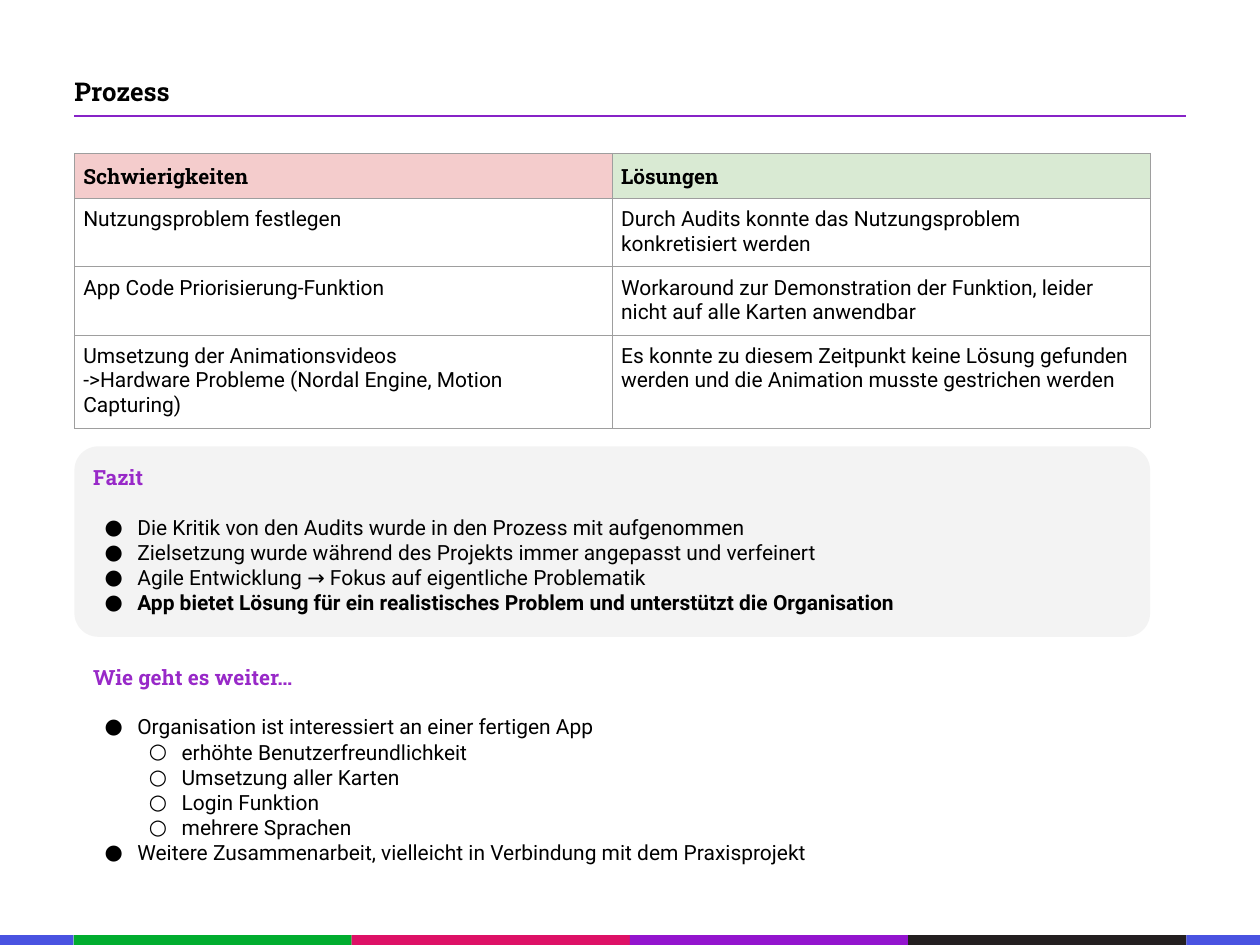
from lxml import etree
from pptx import Presentation
from pptx.dml.color import RGBColor
from pptx.enum.shapes import MSO_CONNECTOR, MSO_SHAPE
from pptx.enum.text import MSO_ANCHOR, MSO_AUTO_SIZE, PP_ALIGN
from pptx.oxml.ns import qn
from pptx.util import Inches, Pt

RECT, ROUNDED = MSO_SHAPE.RECTANGLE, MSO_SHAPE.ROUNDED_RECTANGLE
STRAIGHT = MSO_CONNECTOR.STRAIGHT
TOP, MIDDLE = MSO_ANCHOR.TOP, MSO_ANCHOR.MIDDLE
LEFT = PP_ALIGN.LEFT
NO_AUTOFIT = MSO_AUTO_SIZE.NONE


def rgb(value):
    return RGBColor.from_string(value)


class SlideBuilder:
    BLACK, PURPLE, BORDER = "000000", "9829C8", "9E9E9E"
    TITLE = {"name": "Roboto Slab", "size": Pt(21), "bold": True}
    HEADING = {"name": "Roboto Slab", "size": Pt(17), "bold": True}
    TEXT = {"name": "Roboto", "size": Pt(17), "bold": False}
    STRONG = {**TEXT, "bold": True}
    BULLETS = "●○"

    def __init__(self, slide):
        self.s = slide

    def place(self, sp, x, y, w, h):
        sp.left, sp.top, sp.width, sp.height = map(Inches, (x, y, w, h))

    def frame(self, tf, margin, anchor):
        settings = {"word_wrap": True, "auto_size": NO_AUTOFIT, "vertical_anchor": anchor}
        for side in ("left", "top", "right", "bottom"):
            settings["margin_" + side] = Inches(margin)
        for name, value in settings.items():
            setattr(tf, name, value)

    def text(self, p, text, style, color=BLACK):
        p.alignment = LEFT
        r = p.add_run()
        r.text = text
        for name, value in style.items():
            setattr(r.font, name, value)
        r.font.color.rgb = rgb(color)

    def bullet(self, p, level):
        """Give a paragraph its bullet, or none when level is None."""
        pPr = p._p.get_or_add_pPr()
        if level is None:
            pPr.set("marL", "0")
            pPr.set("indent", "0")
            etree.SubElement(pPr, qn("a:buNone"))
            return
        p.level = level
        pPr.set("marL", str(Inches(0.5 * (level + 1))))
        pPr.set("indent", str(Inches(-0.37)))
        clr = etree.SubElement(pPr, qn("a:buClr"))
        etree.SubElement(clr, qn("a:srgbClr"), val=self.BLACK)
        etree.SubElement(pPr, qn("a:buFont"), typeface="Roboto")
        etree.SubElement(pPr, qn("a:buChar"), char=self.BULLETS[level])

    def title(self, text, *box):
        sp = self.s.shapes.title
        self.place(sp, *box)
        self.frame(sp.text_frame, 0, MIDDLE)
        self.text(sp.text_frame.paragraphs[0], text, self.TITLE)

    def body(self, lines, *box):
        """Add (text, level, style, space before) lines; level None is a heading."""
        sp = self.s.placeholders[1]
        self.place(sp, *box)
        tf = sp.text_frame
        self.frame(tf, 0.1, TOP)
        for i, (text, level, style, space) in enumerate(lines):
            p = tf.paragraphs[0] if i == 0 else tf.add_paragraph()
            self.bullet(p, level)
            p.space_before = Pt(space)
            self.text(p, text, style, self.PURPLE if level is None else self.BLACK)

    def shape(self, kind, color, *box):
        sp = self.s.shapes.add_shape(kind, *map(Inches, box))
        sp.shadow.inherit = False
        sp.fill.solid()
        sp.fill.fore_color.rgb = rgb(color)
        sp.line.fill.background()
        return sp

    def rule(self, x1, x2, y, color, width):
        line = self.s.shapes.add_connector(STRAIGHT, *map(Inches, (x1, y, x2, y)))
        line.line.color.rgb = rgb(color)
        line.line.width = Pt(width)
        etree.SubElement(line._element.spPr, qn("a:effectLst"))

    def borders(self, cell):
        tcPr = cell._tc.get_or_add_tcPr()
        for i, side in enumerate(("lnL", "lnR", "lnT", "lnB")):
            ln = etree.Element(qn("a:" + side), w=str(Pt(0.75)))
            fill = etree.SubElement(ln, qn("a:solidFill"))
            etree.SubElement(fill, qn("a:srgbClr"), val=self.BORDER)
            tcPr.insert(i, ln)

    def table(self, rows, heights, header_fills, x, y, col_width):
        n = len(header_fills)
        box = map(Inches, (x, y, col_width * n, sum(heights)))
        table = self.s.shapes.add_table(len(rows), n, *box).table
        table.horz_banding = False
        for i, (row, height) in enumerate(zip(rows, heights)):
            table.rows[i].height = Inches(height)
            for j, text in enumerate(row):
                cell = table.cell(i, j)
                for side in ("left", "top", "right", "bottom"):
                    setattr(cell, "margin_" + side, Inches(0.1))
                if i == 0:
                    cell.fill.solid()
                    cell.fill.fore_color.rgb = rgb(header_fills[j])
                else:
                    cell.fill.background()
                self.borders(cell)
                tf = cell.text_frame
                for k, line in enumerate(text.split("\n")):
                    p = tf.paragraphs[0] if k == 0 else tf.add_paragraph()
                    self.text(p, line, self.TEXT if i else self.HEADING)


def main():
    prs = Presentation()
    prs.slide_width, prs.slide_height = Inches(14.22), Inches(10.67)
    b = SlideBuilder(prs.slides.add_slide(prs.slide_layouts[1]))

    # Title and rule
    b.title("Prozess", 0.84, 0.85, 12.55, 0.35)
    b.rule(0.84, 13.39, 1.31, "8723C7", 2)

    # Difficulties and solutions
    rows = [
        ("Schwierigkeiten", "Lösungen"),
        ("Nutzungsproblem festlegen",
         "Durch Audits konnte das Nutzungsproblem konkretisiert werden"),
        ("App Code Priorisierung-Funktion",
         "Workaround zur Demonstration der Funktion, leider nicht auf alle Karten anwendbar"),
        ("Umsetzung der Animationsvideos\n"
         "->Hardware Probleme (Nordal Engine, Motion Capturing)",
         "Es konnte zu diesem Zeitpunkt keine Lösung gefunden werden "
         "und die Animation musste gestrichen werden"),
    ]
    b.table(rows, (0.47, 0.77, 0.77, 1.05), ("F4CCCC", "D9EAD3"), 0.84, 1.73, 6.07)

    # Conclusion panel, sent behind the text
    panel = b.shape(ROUNDED, "F3F3F3", 0.84, 5.04, 12.14, 2.15)
    panel.adjustments[0] = 0.125
    b.s.shapes._spTree.insert(2, panel._element)

    # Conclusion and outlook
    b.body([
        ("Fazit", None, b.HEADING, 0),
        ("Die Kritik von den Audits wurde in den Prozess mit aufgenommen", 0, b.TEXT, 20),
        ("Zielsetzung wurde während des Projekts immer angepasst und verfeinert", 0, b.TEXT, 0),
        ("Agile Entwicklung → Fokus auf eigentliche Problematik", 0, b.TEXT, 0),
        ("App bietet Lösung für ein realistisches Problem und unterstützt die Organisation",
         0, b.STRONG, 0),
        ("Wie geht es weiter…", None, b.HEADING, 40),
        ("Organisation ist interessiert an einer fertigen App", 0, b.TEXT, 20),
        ("erhöhte Benutzerfreundlichkeit", 1, b.TEXT, 0),
        ("Umsetzung aller Karten", 1, b.TEXT, 0),
        ("Login Funktion", 1, b.TEXT, 0),
        ("mehrere Sprachen", 1, b.TEXT, 0),
        ("Weitere Zusammenarbeit, vielleicht in Verbindung mit dem Praxisprojekt", 0, b.TEXT, 0),
    ], 0.95, 5.15, 9.47, 5.3)

    # Colour bar: four equal bands between two margins
    margin, band, top, height = 0.83, 3.14, 10.56, 0.11
    for i, color in enumerate(("01AD2F", "DD1166", "9314CE", "231F20")):
        b.shape(RECT, color, margin + i * band, top, band, height)
    for x in (0, margin + 4 * band):
        b.shape(RECT, "4953E1", x, top, margin, height)

    prs.save("out.pptx")


if __name__ == "__main__":
    main()
